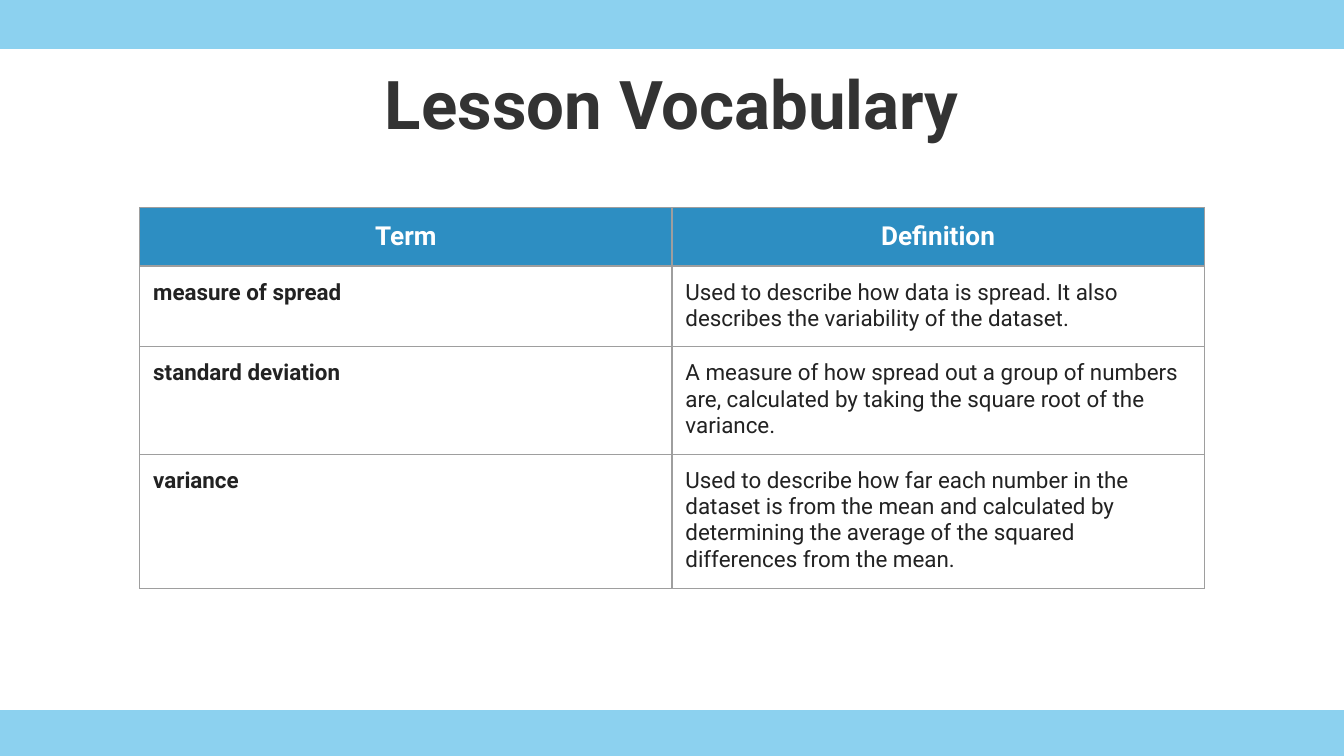
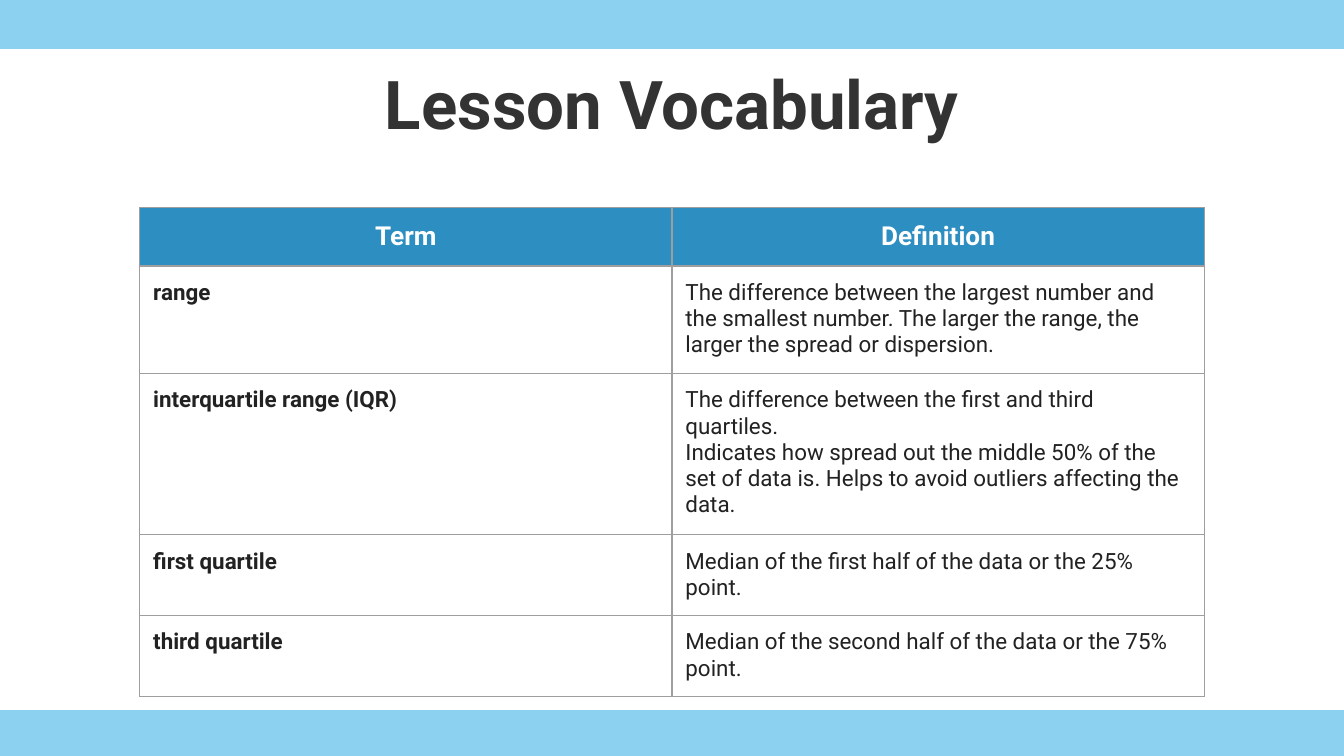
from dataclasses import dataclass

from lxml import etree
from pptx import Presentation
from pptx import util as u
from pptx.dml.color import RGBColor
from pptx.enum import shapes, text
from pptx.oxml import ns

PX = 4572
WIDTH, HEIGHT = 2000, 1125
INSET = 20
FONT = "Roboto"
TITLE = "Lesson Vocabulary"
HEADINGS = ("Term", "Definition")
COLUMN_WIDTH, ROW_HEIGHT = 792, 84
TABLE_LEFT, TABLE_TOP = 208, 309
BORDER_WIDTH = u.Pt(0.75)
BAND_OPACITY = 53
COLORS = {
    "band": "27A9E1",
    "title": "333333",
    "header": "2D8EC2",
    "header_text": "FFFFFF",
    "body": "222222",
    "border": "9E9E9E",
    "page": "FFFFFF",
}


@dataclass(frozen=True)
class Band:
    top: int
    height: int


@dataclass(frozen=True)
class Entry:
    term: str
    definition: str


BANDS = (Band(0, 73), Band(1057, HEIGHT - 1057))
LESSONS = (
    (
        Entry(
            "measure of spread",
            "Used to describe how data is spread. It also describes the "
            "variability of the dataset.",
        ),
        Entry(
            "standard deviation",
            "A measure of how spread out a group of numbers are, calculated "
            "by taking the square root of the variance.",
        ),
        Entry(
            "variance",
            "Used to describe how far each number in the dataset is from the "
            "mean and calculated by determining the average of the squared "
            "differences from the mean.",
        ),
    ),
    (
        Entry(
            "range",
            "The difference between the largest number and the smallest "
            "number. The larger the range, the larger the spread or dispersion.",
        ),
        Entry(
            "interquartile range (IQR)",
            "The difference between the first and third quartiles.\n"
            "Indicates how spread out the middle 50% of the set of data is. "
            "Helps to avoid outliers affecting the data.",
        ),
        Entry(
            "first quartile",
            "Median of the first half of the data or the 25% point.",
        ),
        Entry(
            "third quartile",
            "Median of the second half of the data or the 75% point.",
        ),
    ),
)


def px(length: int) -> u.Emu:
    return u.Emu(length * PX)


def rgb(name: str) -> RGBColor:
    return RGBColor.from_string(COLORS[name])


def write(frame, content: str, *, size: int, color: str, bold: bool = False,
          align=text.PP_ALIGN.LEFT) -> None:
    frame.word_wrap = True
    for index, line in enumerate(content.split("\n")):
        para = frame.add_paragraph() if index else frame.paragraphs[0]
        para.alignment = align
        para.line_spacing = 1.0
        para.space_before = para.space_after = u.Pt(0)
        span = para.add_run()
        span.text = line
        span.font.name = FONT
        span.font.size = u.Pt(size)
        span.font.bold = bold
        span.font.color.rgb = rgb(color)


def set_margins(holder) -> None:
    for side in ("left", "top", "right", "bottom"):
        setattr(holder, f"margin_{side}", px(INSET))


def add_band(page, band: Band) -> None:
    box = page.shapes.add_shape(
        shapes.MSO_SHAPE.RECTANGLE, 0, px(band.top), px(WIDTH), px(band.height)
    )
    box.shadow.inherit = False
    box.line.fill.background()
    box.fill.solid()
    box.fill.fore_color.rgb = rgb("band")
    tint = box.element.spPr.find(ns.qn("a:solidFill"))[0]
    etree.SubElement(tint, ns.qn("a:alpha"), val=str(BAND_OPACITY * 1000))


def add_title(page) -> None:
    box = page.shapes.add_textbox(px(100), px(46), px(1800), px(187))
    frame = box.text_frame
    set_margins(frame)
    frame.vertical_anchor = text.MSO_ANCHOR.BOTTOM
    write(frame, TITLE, size=36, color="title", bold=True,
          align=text.PP_ALIGN.CENTER)


def add_borders(cell) -> None:
    properties = cell._tc.get_or_add_tcPr()
    for side in ("lnL", "lnR", "lnT", "lnB"):
        line = etree.SubElement(properties, ns.qn(f"a:{side}"), w=str(BORDER_WIDTH))
        fill = etree.SubElement(line, ns.qn("a:solidFill"))
        etree.SubElement(fill, ns.qn("a:srgbClr"), val=COLORS["border"])


def fill_cell(cell, content: str, *, header: bool, bold: bool) -> None:
    set_margins(cell)
    add_borders(cell)
    if header:
        cell.fill.solid()
        cell.fill.fore_color.rgb = rgb("header")
        write(cell.text_frame, content, size=14, color="header_text", bold=bold,
              align=text.PP_ALIGN.CENTER)
    else:
        cell.fill.background()
        write(cell.text_frame, content, size=12, color="body", bold=bold)


def add_vocabulary(page, entries: tuple[Entry, ...]) -> None:
    rows = [HEADINGS, *((entry.term, entry.definition) for entry in entries)]
    table = page.shapes.add_table(
        len(rows), len(HEADINGS), px(TABLE_LEFT), px(TABLE_TOP),
        px(COLUMN_WIDTH * len(HEADINGS)), px(ROW_HEIGHT * len(rows)),
    ).table
    table.first_row = False
    table.horz_banding = False
    for column in table.columns:
        column.width = px(COLUMN_WIDTH)
    for row_index, contents in enumerate(rows):
        table.rows[row_index].height = px(ROW_HEIGHT)
        for column_index, content in enumerate(contents):
            header = row_index == 0
            fill_cell(table.cell(row_index, column_index), content,
                      header=header, bold=header or column_index == 0)


def main() -> None:
    deck = Presentation()
    deck.slide_width, deck.slide_height = px(WIDTH), px(HEIGHT)
    for entries in LESSONS:
        page = deck.slides.add_slide(deck.slide_layouts[6])
        page.background.fill.solid()
        page.background.fill.fore_color.rgb = rgb("page")
        for band in BANDS:
            add_band(page, band)
        add_title(page)
        add_vocabulary(page, entries)
    deck.save("out.pptx")


if __name__ == "__main__":
    main()
